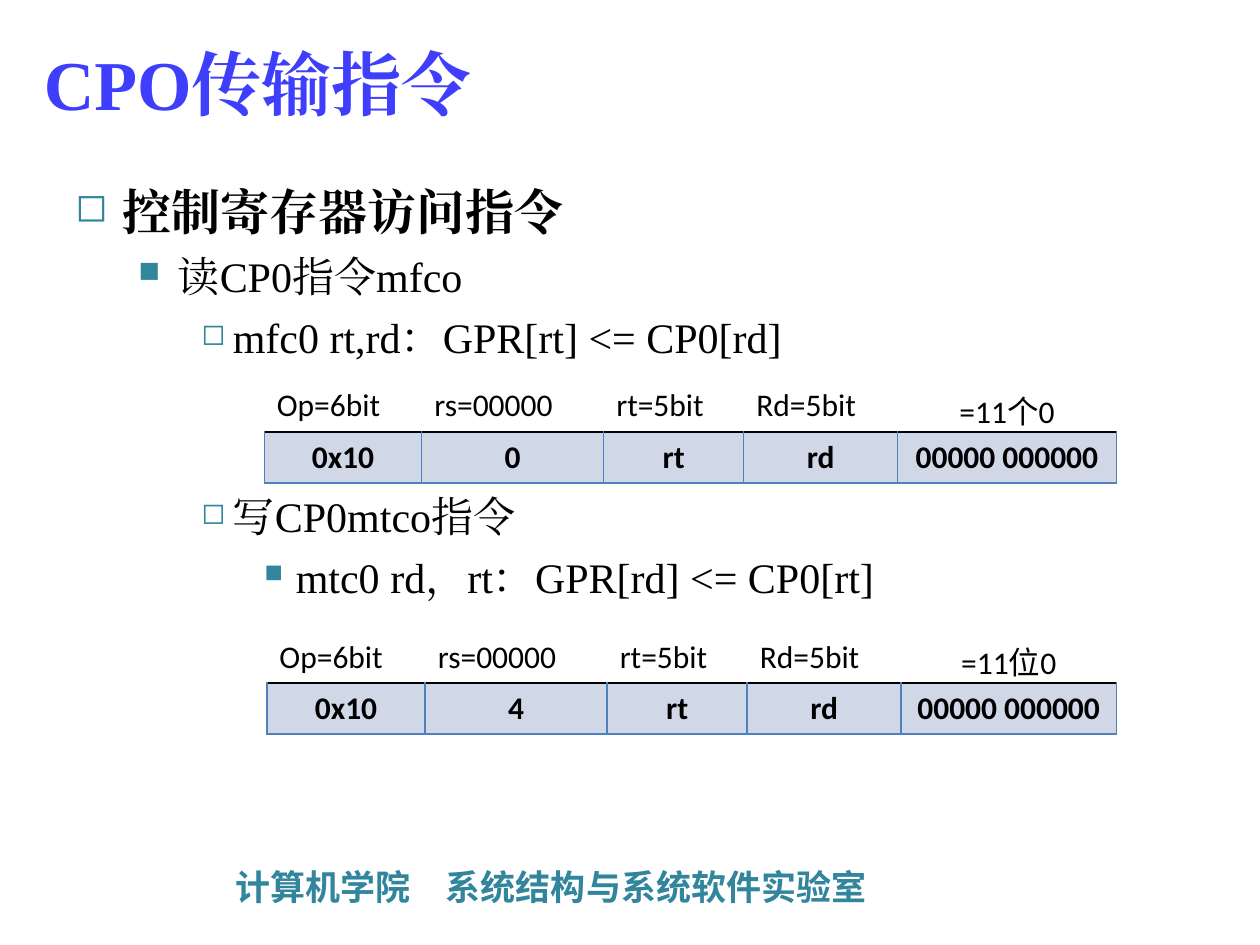
import pptx
import pptx.util
import pptx.dml.color
import pptx.enum.text
import pptx.oxml.ns
import lxml.etree

Pt = pptx.util.Pt
qn = pptx.oxml.ns.qn
CENTER = pptx.enum.text.PP_ALIGN.CENTER
CJK = "Noto Sans CJK SC"
SERIF = "Times New Roman"
TEAL = "31859C"
BLUE = "4F81BD"
BLACK = "000000"
LEVELS = [
    {"left": 27, "hang": 27, "bullet": "◻", "percent": 80},
    {"left": 58.5, "hang": 22.5, "bullet": "■", "percent": 70},
    {"left": 90, "hang": 18, "bullet": "◻", "percent": 70},
    {"left": 126, "hang": 18, "bullet": "■", "percent": 60},
]


def color(value):
    return pptx.dml.color.RGBColor.from_string(value)


def add_element(parent, tag, **attributes):
    element = lxml.etree.SubElement(parent, qn(tag))
    for name, value in attributes.items():
        element.set(name, str(value))
    return element


def add_span(para, text, east_asian, font_color, **formats):
    span = para.add_run()
    span.text = text
    for name, value in formats.items():
        setattr(span.font, name, value)
    span.font.color.rgb = color(font_color)
    add_element(span.font._element, "a:ea", typeface=east_asian)


def add_box(page, left, top, width, height):
    box = page.shapes.add_textbox(Pt(left), Pt(top), Pt(width), Pt(height))
    box.text_frame.word_wrap = True
    return box.text_frame


def add_bullet(para, level):
    rule = LEVELS[level]
    para.level = level
    properties = para._p.get_or_add_pPr()
    properties.set("marL", str(Pt(rule["left"])))
    properties.set("indent", str(-Pt(rule["hang"])))
    bullet_color = add_element(properties, "a:buClr")
    add_element(bullet_color, "a:srgbClr", val=TEAL)
    add_element(properties, "a:buSzPct", val=rule["percent"] * 1000)
    add_element(properties, "a:buChar", char=rule["bullet"])


def add_outline(page, items):
    frame = add_box(page, 36, 100, 648, 391)
    for index, (level, text, gap) in enumerate(items):
        para = frame.paragraphs[0] if index == 0 else frame.add_paragraph()
        para.space_before = Pt(gap)
        add_bullet(para, level)
        add_span(para, text, SERIF, BLACK, name=SERIF,
                 size=Pt(28 if level == 0 else 24), bold=level == 0)


def set_borders(cell, left=None, right=None, top=None, bottom=None):
    properties = cell._tc.get_or_add_tcPr()
    sides = {"a:lnL": left, "a:lnR": right, "a:lnT": top, "a:lnB": bottom}
    for tag, value in sides.items():
        line = add_element(properties, tag, w=Pt(1))
        if value is None:
            add_element(line, "a:noFill")
        else:
            add_element(add_element(line, "a:solidFill"), "a:srgbClr", val=value)


def add_format_table(page, left, top, widths, headings, values):
    frame = page.shapes.add_table(2, len(widths), Pt(left), Pt(top),
                                  Pt(sum(widths)), Pt(58.5))
    table = frame.table
    table.first_row = table.horz_banding = False
    for column, width in zip(table.columns, widths):
        column.width = Pt(width)
    for row_index, texts in enumerate((headings, values)):
        table.rows[row_index].height = Pt(29.25)
        is_field = row_index == 1
        for column_index, text in enumerate(texts):
            cell = table.cell(row_index, column_index)
            if is_field:
                set_borders(cell, BLUE, BLUE, BLACK, BLUE)
                cell.fill.solid()
                cell.fill.fore_color.rgb = color("D0D8E8")
            else:
                set_borders(cell, bottom=BLACK)
                cell.fill.background()
            para = cell.text_frame.paragraphs[0]
            if is_field or column_index == len(texts) - 1:
                para.alignment = CENTER
            add_span(para, text, CJK, BLACK, name="Calibri", size=Pt(18), bold=is_field)


def main():
    deck = pptx.Presentation()
    deck.slide_width, deck.slide_height = Pt(720), Pt(540)
    page = deck.slides.add_slide(deck.slide_layouts[6])

    footer = add_box(page, 127.5, 491, 521, 31.5)
    add_span(footer.paragraphs[0], "计算机学院　系统结构与系统软件实验室", CJK, TEAL,
             name=CJK, size=Pt(20), bold=True)

    title = add_box(page, 18, 9.5, 620, 75)
    title.vertical_anchor = pptx.enum.text.MSO_ANCHOR.MIDDLE
    add_span(title.paragraphs[0], "CPO传输指令", SERIF, "3E3EFC",
             name=SERIF, size=Pt(40), bold=True)

    add_outline(page, [
        (0, "控制寄存器访问指令", 6),
        (1, "读CP0指令mfco", 6),
        (2, "mfc0 rt,rd：GPR[rt] <= CP0[rd]", 6),
        (2, "写CP0mtco指令", 73.5),
        (3, "mtc0 rd，rt：GPR[rd] <= CP0[rt]", 6),
    ])

    headings = ["Op=6bit", "rs=00000", "rt=5bit", "Rd=5bit"]
    tables = [
        (151, 217.5, [90, 104, 80, 88, 125], "=11个0", "0"),
        (152.5, 361, [90.5, 104, 80, 88, 123], "=11位0", "4"),
    ]
    for left, top, widths, last_heading, source in tables:
        add_format_table(page, left, top, widths, headings + [last_heading],
                         ["0x10", source, "rt", "rd", "00000 000000"])

    deck.save("out.pptx")


if __name__ == "__main__":
    main()
